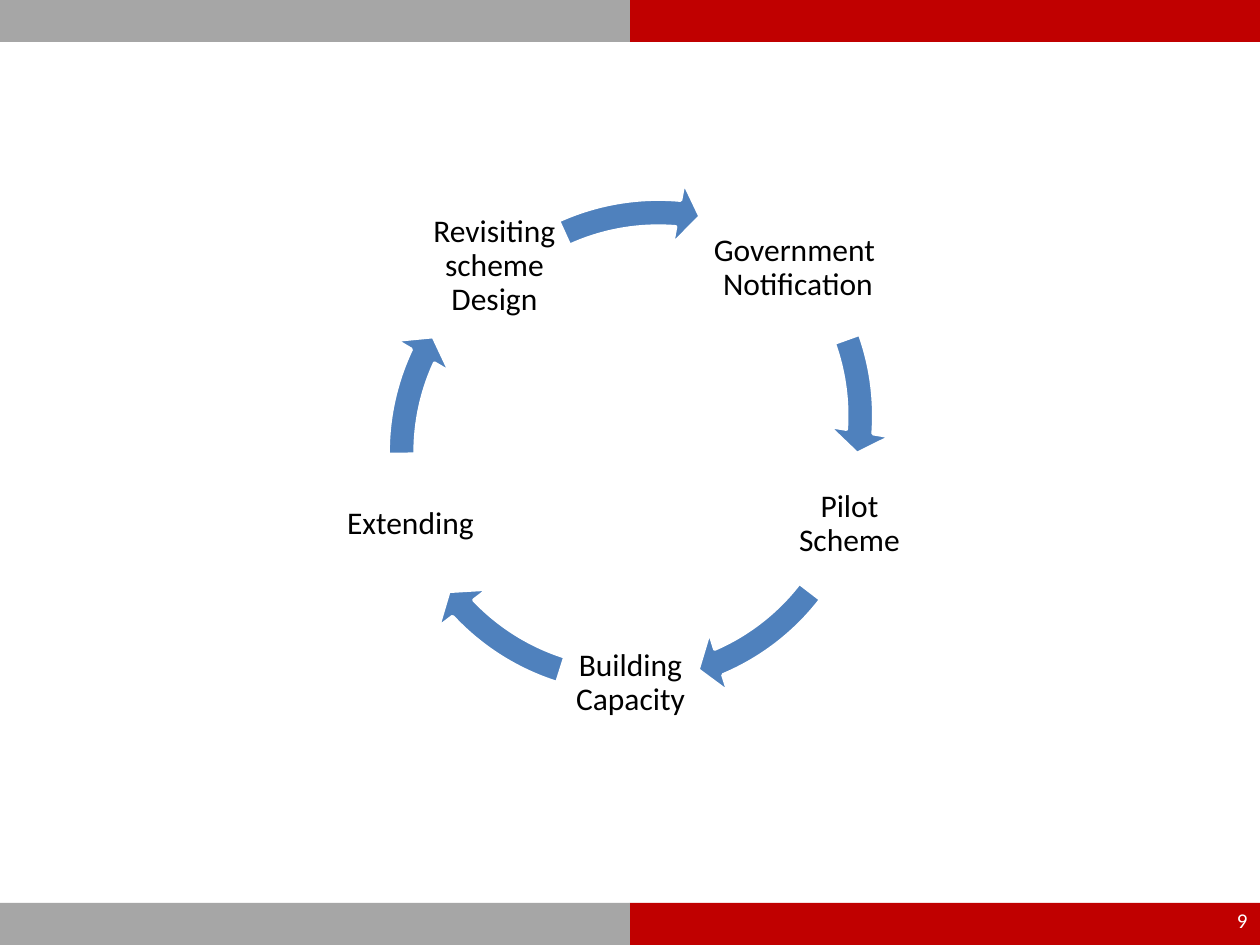
from dataclasses import dataclass

from pptx import Presentation, util as u
from pptx.dml.color import RGBColor
from pptx.enum import shapes, text

PX = u.Inches(1) / 126
WIDTH, HEIGHT, BAR_HEIGHT = 1260, 945, 42
STEP_SIZE, ARROW_SIZE = 139, 519


@dataclass(frozen=True)
class Theme:
    font: str = "Calibri"
    step_size: int = 18
    number_size: int = 12
    ink: str = "000000"
    white: str = "FFFFFF"
    gray: str = "A6A6A6"
    red: str = "C00000"
    blue: str = "4F81BD"


def px(*lengths):
    return [u.Emu(round(length * PX)) for length in lengths]


def write(frame, words, *, size, color, font, align, inset=None, spacing=None):
    """Fill a text frame with one formatted, vertically centred paragraph."""
    frame.word_wrap = True
    frame.vertical_anchor = text.MSO_ANCHOR.MIDDLE
    if inset is not None:
        (margin,) = px(inset)
        frame.margin_left = frame.margin_right = margin
        frame.margin_top = frame.margin_bottom = margin
    para = frame.paragraphs[0]
    para.alignment = align
    para.line_spacing = spacing
    span = para.add_run()
    span.text = words
    span.font.name = font
    span.font.size = u.Pt(size)
    span.font.color.rgb = RGBColor.from_string(color)


class Painter:
    def __init__(self, page, theme):
        self.page = page
        self.theme = theme

    def shape(self, kind, left, top, width, height, fill):
        shape = self.page.shapes.add_shape(kind, *px(left, top, width, height))
        shape.shadow.inherit = False
        shape.fill.solid()
        shape.fill.fore_color.rgb = RGBColor.from_string(fill)
        shape.line.fill.background()
        return shape

    def bars(self, top):
        half = WIDTH // 2
        for left, color in ((half, self.theme.red), (0, self.theme.gray)):
            self.shape(shapes.MSO_SHAPE.RECTANGLE, left, top, half, BAR_HEIGHT, color)

    def label(self, words, left, top, width, height, **style):
        box = self.page.shapes.add_textbox(*px(left, top, width, height))
        write(box.text_frame, words, font=self.theme.font, **style)

    def step(self, words, left, top, width=STEP_SIZE):
        self.label(words, left, top, width, STEP_SIZE, size=self.theme.step_size,
                   color=self.theme.ink, align=text.PP_ALIGN.CENTER,
                   inset=4, spacing=0.9)

    def arrow(self, left, top, start, end):
        """Draw a clockwise arc arrow between two angles in degrees."""
        arrow = self.shape(shapes.MSO_SHAPE.CIRCULAR_ARROW, left, top,
                           ARROW_SIZE, ARROW_SIZE, self.theme.blue)
        arrow.line.color.rgb = RGBColor.from_string(self.theme.white)
        arrow.line.width = u.Pt(2)
        degree = 0.6  # one degree in adjustment units
        values = (0.052, 5.6 * degree, end * degree, start * degree, 0.061)
        for index, value in enumerate(values):
            arrow.adjustments[index] = value


# Each step: its label arguments, then the arrow that leaves it
CYCLE = [
    (("Government  Notification", 702, 199, 192), (373, 156, 340.31, 4.02)),
    (("Pilot Scheme", 780, 455), (370, 193, 37.56, 66.9)),
    (("Building Capacity", 561, 614), (370, 193, 107.5, 136.84)),
    (("Extending", 341, 455), (370, 193, 179.52, 204.96)),
    (("Revisiting scheme Design", 425, 197), (399, 181, 245.53, 274.96)),
]


def main():
    deck = Presentation()
    deck.slide_width, deck.slide_height = px(WIDTH, HEIGHT)
    theme = Theme()
    painter = Painter(deck.slides.add_slide(deck.slide_layouts[6]), theme)

    for top in (0, HEIGHT - BAR_HEIGHT):
        painter.bars(top)
    painter.label("9", 966, 895, 294, 50, size=theme.number_size,
                  color=theme.white, align=text.PP_ALIGN.RIGHT)
    for step, arrow in CYCLE:
        painter.step(*step)
        painter.arrow(*arrow)

    deck.save("out.pptx")


if __name__ == "__main__":
    main()
